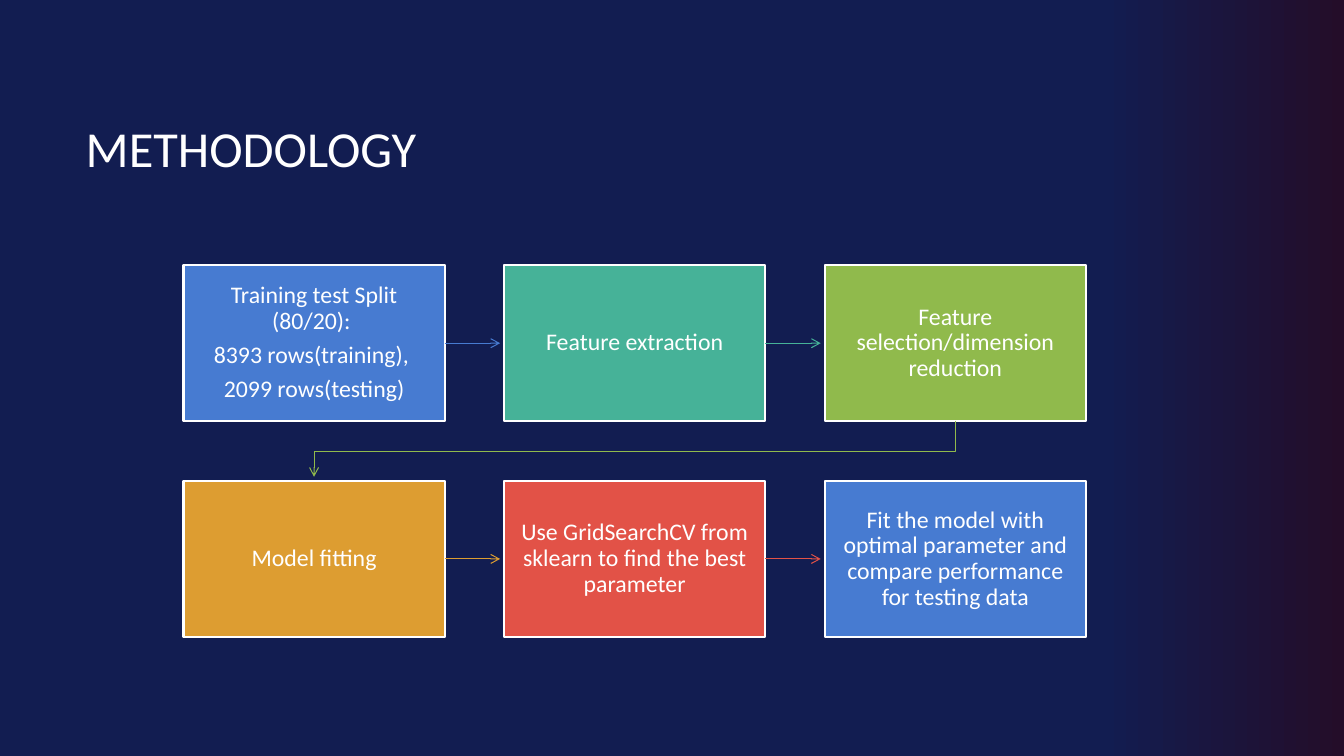
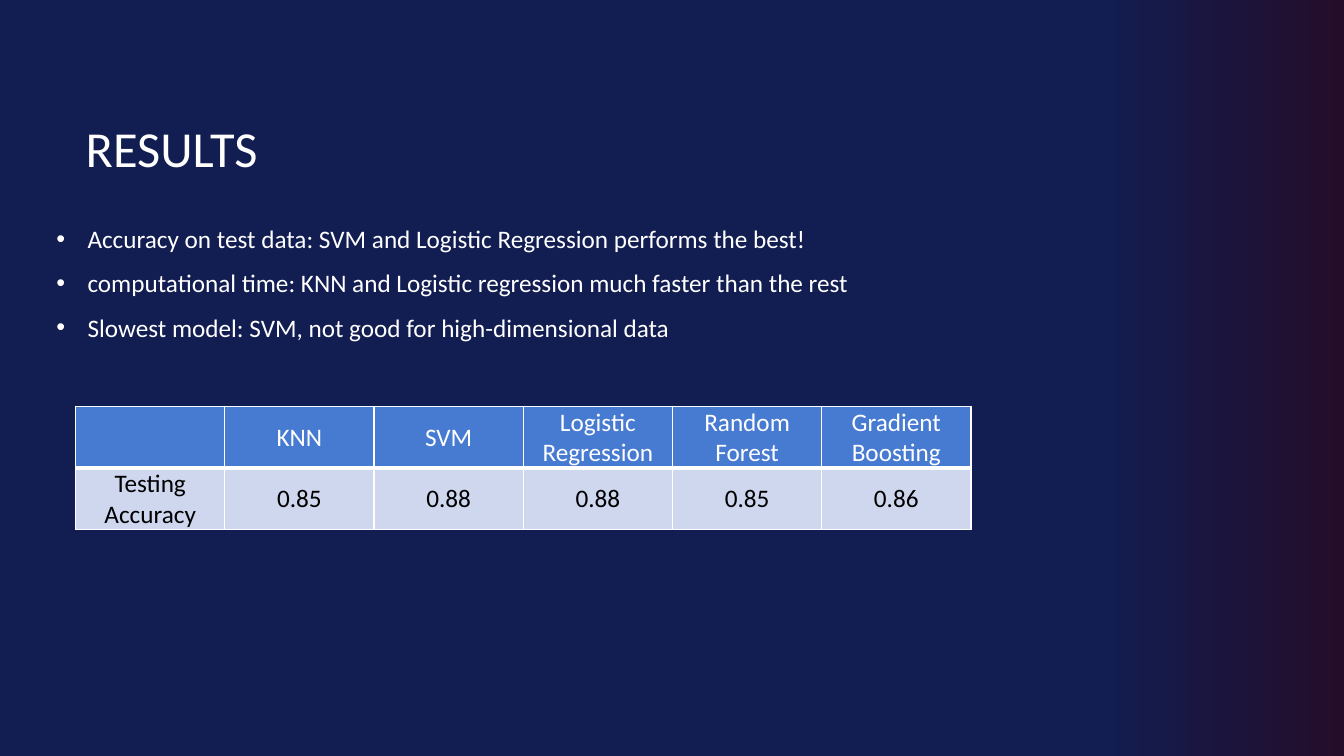
"""Build the methodology and results slides."""
from lxml.etree import SubElement
from pptx import Presentation
from pptx.dml.color import RGBColor
from pptx.enum.shapes import MSO_CONNECTOR as CONNECTOR, MSO_SHAPE as SHAPE
from pptx.enum.text import MSO_ANCHOR as ANCHOR, PP_ALIGN as ALIGN
from pptx.oxml import parse_xml
from pptx.oxml.ns import nsdecls, qn
from pptx.util import Inches, Pt

COLORS = {
    "navy": "121D51", "plum": "240D29", "white": "FFFFFF", "black": "000000",
    "blue": "477BD1", "teal": "46B298", "green": "90BA4C",
    "amber": "DD9D31", "red": "E25247", "pale": "CFD7EE",
}
FONT = "Calibri"

STEPS = [
    ("Training test Split (80/20): \n8393 rows(training), \n2099 rows(testing)", "blue"),
    ("Feature extraction", "teal"),
    ("Feature selection/dimension reduction", "green"),
    ("Model fitting", "amber"),
    ("Use GridSearchCV from sklearn to find the best parameter", "red"),
    ("Fit the model with optimal parameter and compare performance for testing data", "blue"),
]
FINDINGS = [
    "Accuracy on test data: SVM and Logistic Regression performs the best!",
    "computational time: KNN and Logistic regression much faster than the rest",
    "Slowest model: SVM, not good for high-dimensional data",
]
ACCURACY = [
    ("", "KNN", "SVM", "Logistic Regression", "Random Forest", "Gradient Boosting"),
    ("Testing Accuracy", "0.85", "0.88", "0.88", "0.85", "0.86"),
]

STEP_COLS = 3
STEP_LEFT, STEP_TOP = Inches(1.82), Inches(2.63)
STEP_W, STEP_H = Inches(2.59), Inches(1.55)
STEP_GAP = Inches(0.59)
TIP_GAP = Inches(0.04)
BODY_W = Inches(11.08)
COL_W, ROW_H = Inches(1.48), Inches(0.61)


def rgb(name):
    return RGBColor.from_string(COLORS[name])


def style_text(tf, size, color="white", align=ALIGN.LEFT):
    tf.word_wrap = True
    tf.vertical_anchor = ANCHOR.MIDDLE
    for p in tf.paragraphs:
        p.alignment = align
        for r in p.runs:
            r.font.name, r.font.size = FONT, Pt(size)
            r.font.color.rgb = rgb(color)


def set_background(master):
    fill = master.background.fill
    fill.gradient()
    fill.gradient_angle = 180
    stops = zip(fill.gradient_stops, ((0, "plum"), (0.18, "navy")))
    for stop, (position, color) in stops:
        stop.position = position
        stop.color.rgb = rgb(color)


def add_slide(prs, title):
    s = prs.slides.add_slide(prs.slide_layouts[5])
    sp = s.shapes.title
    sp.left, sp.top = Inches(0.75), Inches(0.67)
    sp.width, sp.height = BODY_W, Inches(1.59)
    sp.text_frame.text = title
    style_text(sp.text_frame, 36)
    return s


def add_step(s, index, text, color):
    row, col = divmod(index, STEP_COLS)
    sp = s.shapes.add_shape(
        SHAPE.RECTANGLE, STEP_LEFT + col * (STEP_W + STEP_GAP),
        STEP_TOP + row * (STEP_H + STEP_GAP), STEP_W, STEP_H)
    sp.shadow.inherit = False
    sp.fill.solid()
    sp.fill.fore_color.rgb = rgb(color)
    sp.line.color.rgb = rgb("white")
    sp.line.width = Pt(1.5)
    tf = sp.text_frame
    tf.margin_left = tf.margin_right = tf.margin_top = tf.margin_bottom = Inches(0.13)
    tf.text = text
    style_text(tf, 17, align=ALIGN.CENTER)
    for p in tf.paragraphs:
        p.line_spacing, p.space_after = 0.9, Pt(6)
    return sp


def add_arrow(s, start, end, color):
    if start.top == end.top:
        y = start.top + STEP_H // 2
        arrow = s.shapes.add_connector(
            CONNECTOR.STRAIGHT, start.left + STEP_W, y, end.left - TIP_GAP, y)
        arrow.begin_connect(start, 3)
        SubElement(arrow.element.spPr, qn("a:effectLst"))
    else:
        x1, x2 = (box.left + STEP_W // 2 for box in (start, end))
        bottom = start.top + STEP_H
        middle = bottom + STEP_GAP // 2
        path = s.shapes.build_freeform(x1, bottom)
        path.add_line_segments(
            [(x1, middle), (x2, middle), (x2, end.top - TIP_GAP)], close=False)
        arrow = path.convert_to_shape()
        arrow.fill.background()
        arrow.shadow.inherit = False
    arrow.line.color.rgb = rgb(color)
    arrow.line.width = Pt(0.75)
    SubElement(arrow.element.spPr.get_or_add_ln(), qn("a:tailEnd"), type="arrow")


def add_findings(s):
    tf = s.shapes.add_textbox(
        Inches(0.46), Inches(1.07), BODY_W, Inches(3.47)).text_frame
    tf.text = "\n".join(FINDINGS)
    style_text(tf, 18)
    for p in tf.paragraphs:
        p.space_after = Pt(10)
        pPr = p._p.get_or_add_pPr()
        pPr.set("marL", str(Inches(0.31)))
        pPr.set("indent", str(-Inches(0.31)))
        SubElement(pPr, qn("a:buFont"), typeface="Arial")
        SubElement(pPr, qn("a:buChar"), char="•")


def set_borders(cell, widths):
    tcPr = cell._tc.get_or_add_tcPr()
    for i, (side, width) in enumerate(widths.items()):
        tcPr.insert(i, parse_xml(
            f'<a:ln{side} {nsdecls("a")} w="{Pt(width)}"><a:solidFill>'
            f'<a:srgbClr val="{COLORS["white"]}"/></a:solidFill></a:ln{side}>'))


def add_accuracy_table(s):
    rows, cols = len(ACCURACY), len(ACCURACY[0])
    table = s.shapes.add_table(
        rows, cols, Inches(0.75), Inches(4.03), cols * COL_W, rows * ROW_H).table
    looks = (("blue", "white", {"T": 1, "B": 3}), ("pale", "black", {"T": 3, "B": 1}))
    for r, (texts, (fill, ink, edges)) in enumerate(zip(ACCURACY, looks)):
        for c, text in enumerate(texts):
            cell = table.cell(r, c)
            cell.margin_left = cell.margin_right = cell.margin_top = Inches(0.01)
            cell.margin_bottom = 0
            cell.vertical_anchor = ANCHOR.MIDDLE
            cell.fill.solid()
            cell.fill.fore_color.rgb = rgb(fill)
            set_borders(cell, {"L": 1, "R": 1, **edges})
            cell.text_frame.text = text
            style_text(cell.text_frame, 18, ink, ALIGN.CENTER)


def main():
    prs = Presentation()
    prs.slide_width, prs.slide_height = Inches(13.33), Inches(7.5)
    set_background(prs.slide_master)

    s = add_slide(prs, "METHODOLOGY")
    boxes = [add_step(s, i, *step) for i, step in enumerate(STEPS)]
    for start, end, (_, color) in zip(boxes, boxes[1:], STEPS):
        add_arrow(s, start, end, color)

    s = add_slide(prs, "RESULTS")
    add_findings(s)
    add_accuracy_table(s)

    prs.save("out.pptx")


if __name__ == "__main__":
    main()
